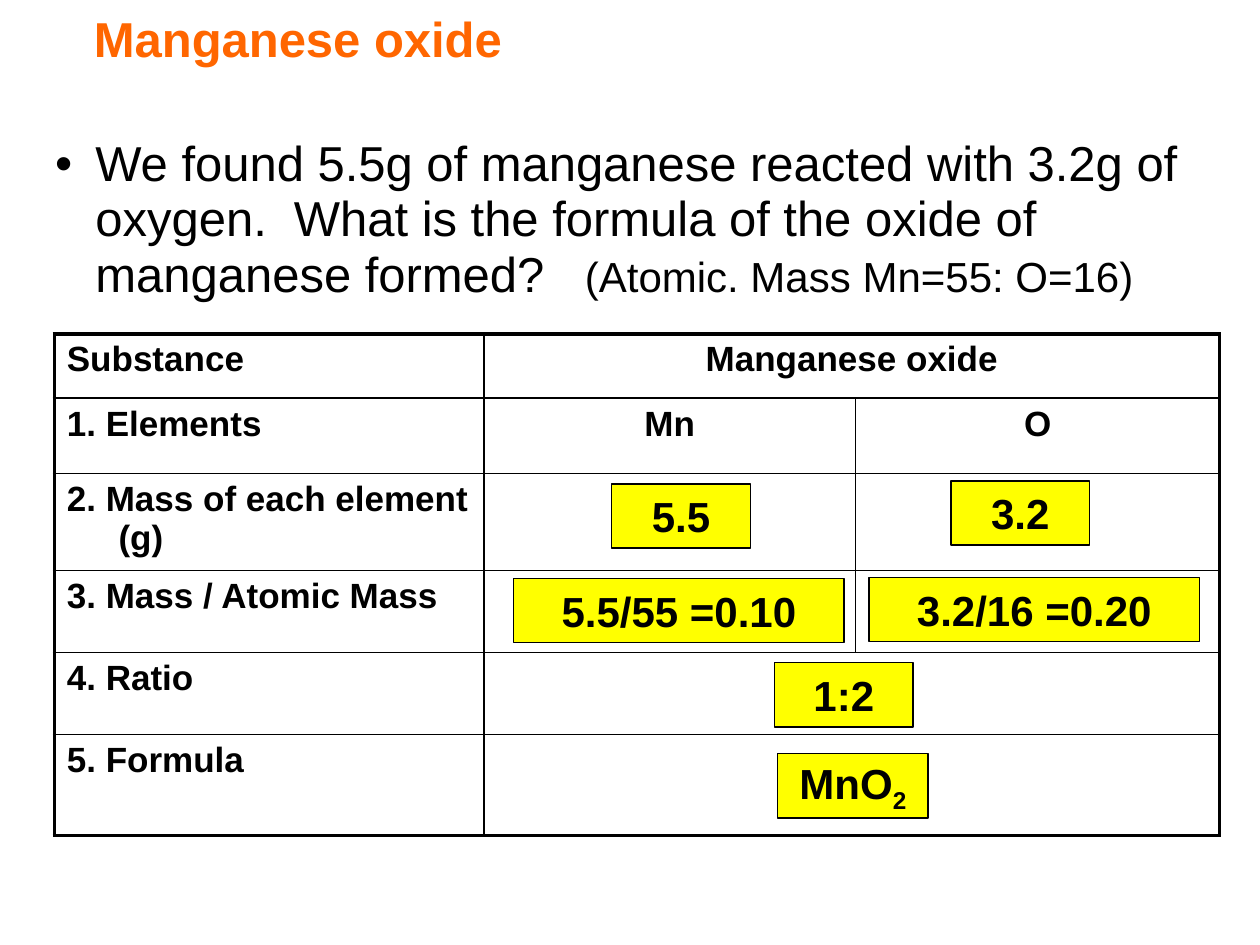
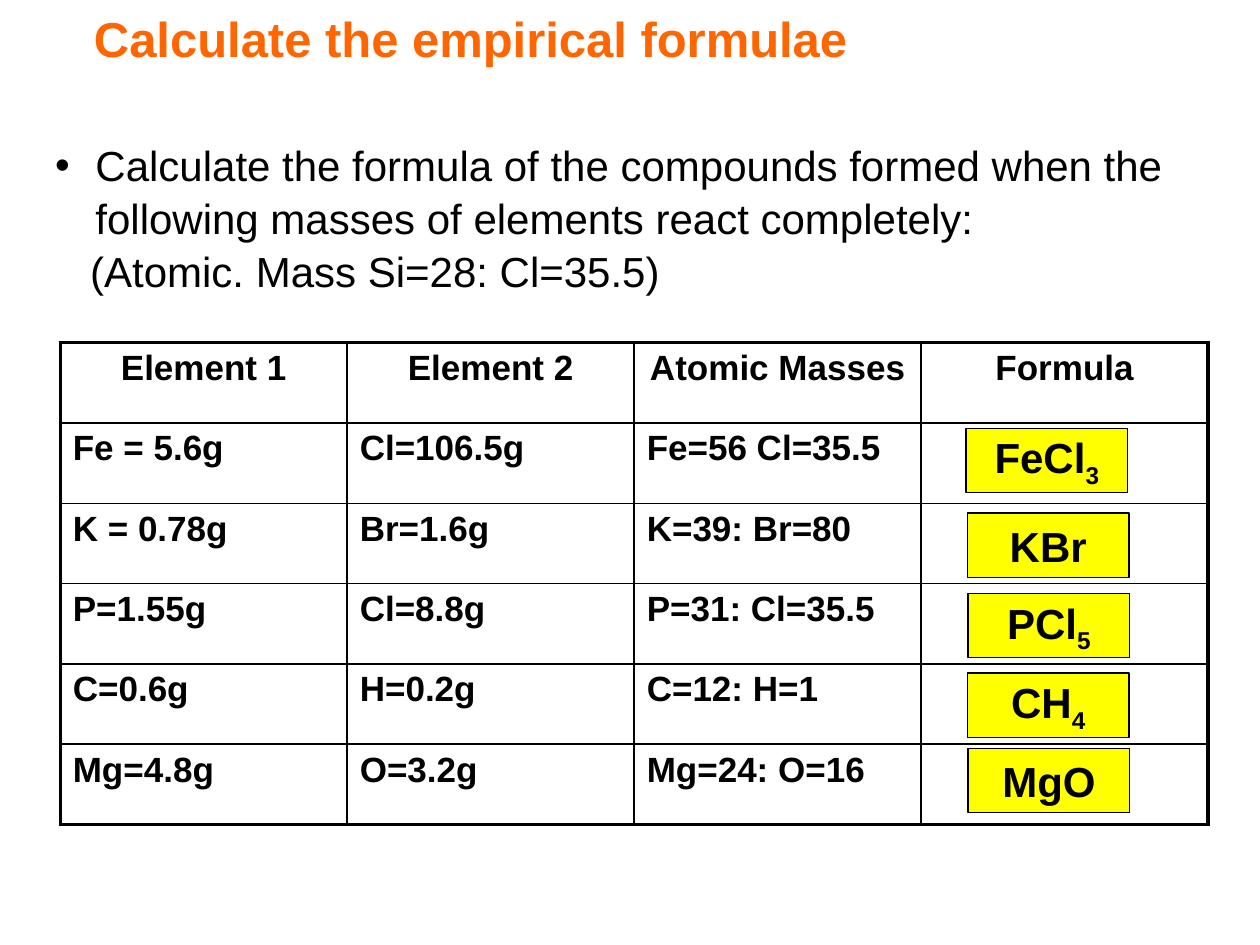
from dataclasses import dataclass

from lxml import etree
from pptx import Presentation
from pptx.dml.color import RGBColor
from pptx.enum import shapes, text
from pptx.oxml import ns
from pptx.util import Pt


@dataclass(frozen=True)
class Theme:
    font: str = "Arial"
    ink: RGBColor = RGBColor(0x00, 0x00, 0x00)
    paper: RGBColor = RGBColor(0xFF, 0xFF, 0xFF)
    heading: RGBColor = RGBColor(0xFF, 0x66, 0x00)
    answer: RGBColor = RGBColor(0xFF, 0xFF, 0x00)
    large: int = 28
    medium: int = 24
    cell: int = 20
    outer: float = 2.25
    inner: float = 1


theme = Theme()


def add_run(paragraph, words, size, color=theme.ink, bold=False):
    run = paragraph.add_run()
    run.text = words
    run.font.name = theme.font
    run.font.size = Pt(size)
    run.font.bold = bold
    run.font.color.rgb = color
    return run


def add_border(cell, index, side, width):
    """Cell borders come before the fill, in the order L, R, T, B."""
    line = etree.Element(ns.qn(f"a:ln{side}"), w=str(Pt(width)))
    fill = etree.SubElement(line, ns.qn("a:solidFill"))
    etree.SubElement(fill, ns.qn("a:srgbClr"), val=str(theme.ink))
    cell._tc.get_or_add_tcPr().insert(index, line)


# Content: question lines are (runs, left indent, line spacing, bulleted);
# a run is (words, size, extra letter spacing). Answers are (words, x, y, width).
pages = [
    dict(
        title="Manganese oxide",
        question=[([
            ("We found 5.5g of manganese reacted with 3.2g of oxygen.  "
             "What is the formula of the oxide of manganese formed?", theme.large, 0),
            (" ", theme.large, 15.5),
            ("(Atomic. Mass Mn=55: O=16)", theme.medium, 0),
        ], 23, 0.94, True)],
        corner=(31, 190.8),
        columns=[245.5, 212.4, 208.1],
        heights=[36.7, 43.2, 55.4, 46.8, 46.8, 57.6],
        rows=[
            ["Substance", "Manganese oxide", ""],
            ["1. Elements", "Mn", "O"],
            ["2. Mass of each element (g)", "", ""],
            ["3. Mass / Atomic Mass", "", ""],
            ["4. Ratio", "", ""],
            ["5. Formula", "", ""],
        ],
        merged_rows=[0, 4, 5],
        centred=lambda row, column: column > 0,
        hanging=(2, 0),
        answers=[
            ("5.5", 349.6, 276.5, 79.2),
            ("3.2", 543.4, 274.8, 79.2),
            ("5.5/55 =0.10", 293.5, 330.4, 188.9),
            ("3.2/16 =0.20", 496.6, 329.8, 188.9),
            ("1:2", 442.6, 378.7, 79.2),
            ("MnO_2", 444.4, 430.7, 86),
        ],
    ),
    dict(
        title="Calculate the empirical formulae",
        question=[
            ([("Calculate the formula of the compounds formed when the following "
               "masses of elements react completely:", theme.medium, 0)], 23, 1.05, True),
            ([("(Atomic. Mass Si=28: Cl=35.5)", theme.medium, 0)], 20, 1.05, False),
        ],
        corner=(34.4, 195.8),
        columns=[164] * 4,
        heights=[45.9] * 6,
        rows=[
            ["Element 1", "Element 2", "Atomic Masses", "Formula"],
            ["Fe = 5.6g", "Cl=106.5g", "Fe=56 Cl=35.5", ""],
            ["K = 0.78g", "Br=1.6g", "K=39: Br=80", ""],
            ["P=1.55g", "Cl=8.8g", "P=31: Cl=35.5", ""],
            ["C=0.6g", "H=0.2g", "C=12: H=1", ""],
            ["Mg=4.8g", "O=3.2g", "Mg=24: O=16", ""],
        ],
        merged_rows=[],
        centred=lambda row, column: row == 0,
        hanging=None,
        answers=[
            ("FeCl_3", 552, 244.7, 92.4),
            ("KBr", 552.8, 293.2, 92.4),
            ("PCl_5", 553.2, 339.2, 92.4),
            ("CH_4", 552.8, 384.6, 92.4),
            ("MgO", 553.2, 427.6, 92.4),
        ],
    ),
]

deck = Presentation()
deck.slide_width, deck.slide_height = Pt(720), Pt(540)

for page in pages:
    slide = deck.slides.add_slide(deck.slide_layouts[5])

    # Title
    title = slide.shapes.title
    title.left, title.top, title.width, title.height = Pt(0), Pt(1.4), Pt(615), Pt(41)
    title.text_frame.margin_left = Pt(53.7)
    title.text_frame.vertical_anchor = text.MSO_ANCHOR.MIDDLE
    heading = title.text_frame.paragraphs[0]
    heading.alignment = text.PP_ALIGN.LEFT
    add_run(heading, page["title"], theme.large, theme.heading, True)

    # Question
    question = slide.shapes.add_textbox(Pt(24.5), Pt(74.9), Pt(679), Pt(93.6)).text_frame
    question.word_wrap = True
    for number, (runs, indent, spacing, bulleted) in enumerate(page["question"]):
        line = question.add_paragraph() if number else question.paragraphs[0]
        props = line._p.get_or_add_pPr()
        props.set("marL", str(Pt(indent)))
        if bulleted:
            props.set("indent", str(-Pt(indent)))
            etree.SubElement(props, ns.qn("a:buFont"), typeface=theme.font)
            etree.SubElement(props, ns.qn("a:buChar"), char="•")
        line.line_spacing = spacing
        for words, size, gap in runs:
            run = add_run(line, words, size)
            if gap:
                run.font._element.set("spc", str(int(gap * 100)))

    # Table
    rows, columns, heights = page["rows"], page["columns"], page["heights"]
    left, top = page["corner"]
    table = slide.shapes.add_table(len(rows), len(columns), Pt(left), Pt(top),
                                   Pt(sum(columns)), Pt(sum(heights))).table
    table.first_row = table.horz_banding = False
    for column, width in zip(table.columns, columns):
        column.width = Pt(width)
    for row, height in zip(table.rows, heights):
        row.height = Pt(height)
    for r in page["merged_rows"]:
        table.cell(r, 1).merge(table.cell(r, 2))

    for r, row in enumerate(rows):
        for c, words in enumerate(row):
            cell = table.cell(r, c)
            cell.fill.solid()
            cell.fill.fore_color.rgb = theme.paper
            reach = c + (cell.span_width if cell.is_merge_origin else 1)
            on_edge = dict(L=c == 0, R=reach == len(columns),
                           T=r == 0, B=r == len(rows) - 1)
            for index, (side, edge) in enumerate(on_edge.items()):
                add_border(cell, index, side, theme.outer if edge else theme.inner)
            if not words:
                continue
            entry = cell.text_frame.paragraphs[0]
            if page["centred"](r, c):
                entry.alignment = text.PP_ALIGN.CENTER
            if (r, c) == page["hanging"]:
                props = entry._p.get_or_add_pPr()
                props.set("marL", str(Pt(29.5)))
                props.set("indent", str(-Pt(29.5)))
            add_run(entry, words, theme.cell, bold=True)

    # Answers laid over the table
    for formula, x, y, width in page["answers"]:
        answer = slide.shapes.add_shape(shapes.MSO_SHAPE.RECTANGLE,
                                        Pt(x), Pt(y), Pt(width), Pt(36.7))
        answer.shadow.inherit = False
        answer.fill.solid()
        answer.fill.fore_color.rgb = theme.answer
        answer.line.color.rgb = theme.ink
        answer.line.width = Pt(0.75)
        answer.text_frame.word_wrap = True
        answer.text_frame.vertical_anchor = text.MSO_ANCHOR.MIDDLE
        result = answer.text_frame.paragraphs[0]
        result.alignment = text.PP_ALIGN.CENTER
        base, _, subscript = formula.partition("_")
        add_run(result, base, theme.medium, bold=True)
        if subscript:
            run = add_run(result, subscript, theme.medium, bold=True)
            run.font._element.set("baseline", "-25000")

deck.save("out.pptx")
